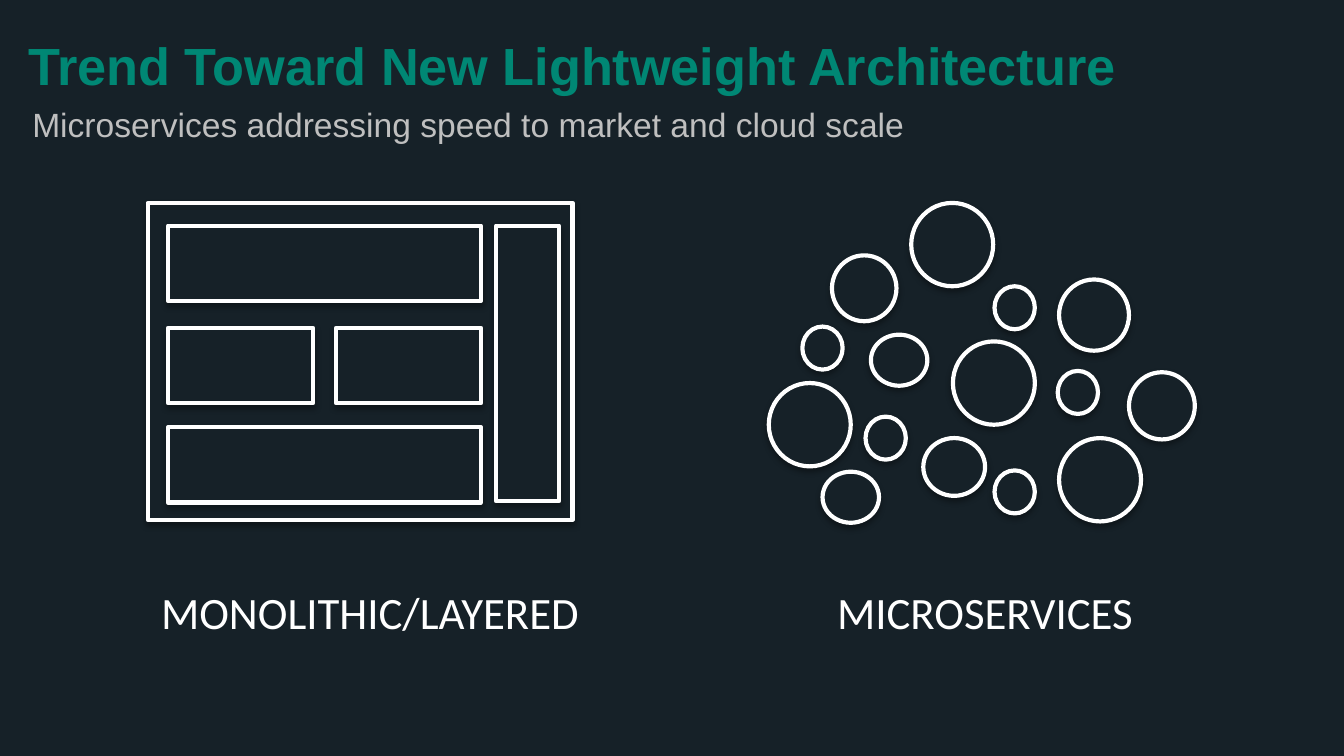
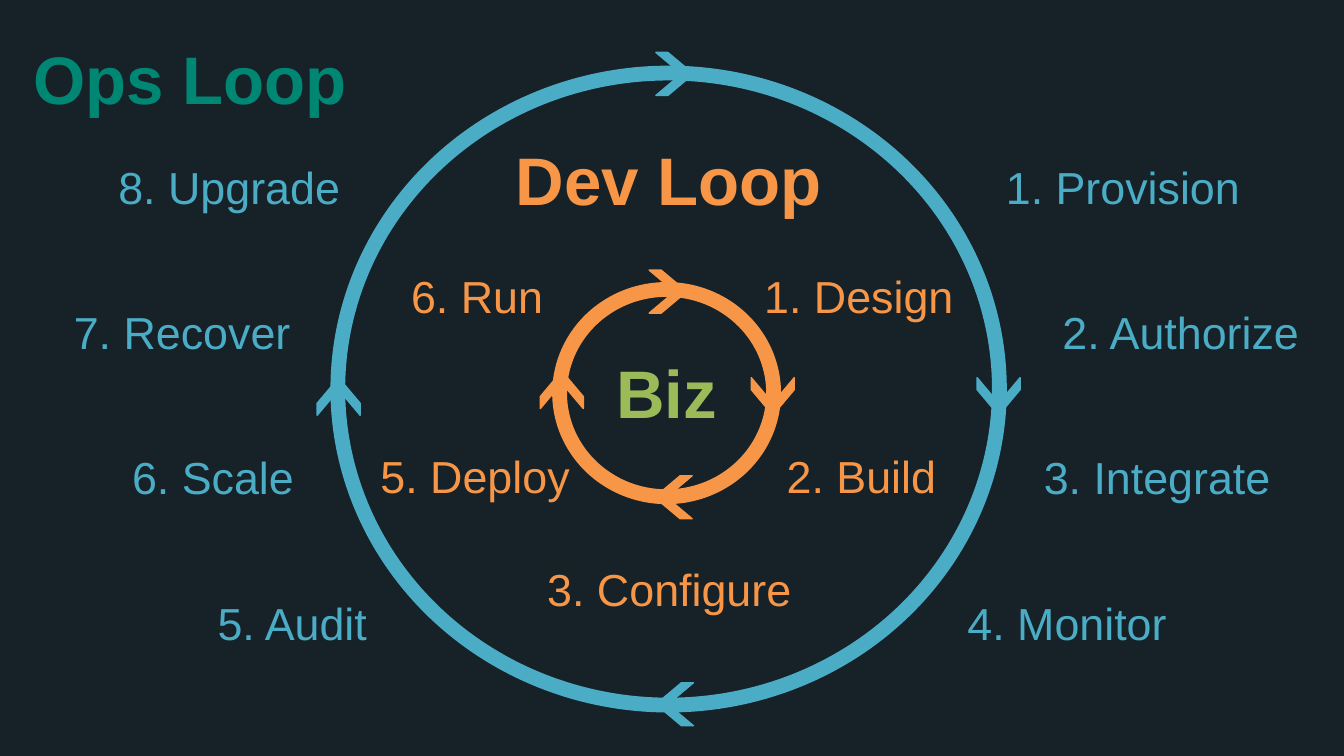
from lxml import etree
from pptx import Presentation
from pptx import util as u
from pptx.dml.color import RGBColor
from pptx.enum import shapes, text
from pptx.oxml.ns import qn

PX = 9144  # EMU per px: 100 px make one inch
SLIDE_WIDTH = 1000 * PX
SLIDE_HEIGHT = SLIDE_WIDTH * 9 // 16

NIGHT = RGBColor(0x16, 0x21, 0x28)
WHITE = RGBColor(0xFF, 0xFF, 0xFF)
GREY = RGBColor(0xBF, 0xBF, 0xBF)
TEAL = RGBColor(0x00, 0x87, 0x74)
ORANGE = RGBColor(0xF7, 0x96, 0x46)
CYAN = RGBColor(0x4B, 0xAC, 0xC6)
BLUE = RGBColor(0x4F, 0x81, 0xBD)
GREEN = RGBColor(0x9B, 0xBB, 0x59)

RECTANGLE = shapes.MSO_SHAPE.RECTANGLE
OVAL = shapes.MSO_SHAPE.OVAL

LAYERS = [  # left, top, width, height, rotation
    (110, 151, 316, 236, 0),
    (125, 168, 233, 56, 0),
    (290, 247, 205, 47, 90),
    (125, 318, 233, 56, 0),
    (250, 244, 108, 56, 0),
    (125, 244, 108, 56, 0),
]
LARGE, SMALL, FLAT = (61, 62), (30, 32), (42, 38)
SERVICES = [  # left, top, size
    (678, 151, LARGE), (619, 190, (48, 49)), (740, 213, SMALL),
    (788, 208, (52, 53)), (648, 249, FLAT), (709, 254, LARGE),
    (840, 277, (49, 50)), (687, 326, (46, 43)), (572, 285, LARGE),
    (612, 351, FLAT), (787, 276, SMALL), (740, 350, SMALL),
    (644, 310, SMALL), (788, 326, LARGE), (597, 243, SMALL),
]

OPS_TOP, OPS_STEP = 107, 108
OPS_RIGHT = [("1. Provision", 726, 219), ("2. Authorize", 778, 201),
             ("3. Integrate", 758, 206), ("4. Monitor", 696, 196)]
OPS_LEFT = [("8. Upgrade", 73, 195), ("7. Recover", 43, 185),
            ("6. Scale", 85, 147), ("5. Audit", 136, 163)]
DEV_STEPS = [("1. Design", 558, 188, 162), ("2. Build", 563, 322, 156),
             ("3. Configure", 393, 406, 210), ("5. Deploy", 271, 322, 165),
             ("6. Run", 290, 188, 130)]
# Left and top of the arrows at the top, right, bottom and left of each ring
OPS_ARROWS = [(488, 39), (729, 279), (488, 508), (238, 279)]
DEV_ARROWS = [(483, 201), (561, 279), (487, 354), (404, 274)]


def add_slide(presentation):
    slide = presentation.slides.add_slide(presentation.slide_layouts[6])
    slide.background.fill.solid()
    slide.background.fill.fore_color.rgb = NIGHT
    return slide


def add_text(parent, words, left, top, width, height, size, color,
             bold=False, font_name="Arial", inset=(10, 5)):
    """Add a one-paragraph text box and return it."""
    box = parent.shapes.add_textbox(left * PX, top * PX, width * PX, height * PX)
    frame = box.text_frame
    frame.word_wrap = True
    frame.margin_left = frame.margin_right = inset[0] * PX
    frame.margin_top = frame.margin_bottom = inset[1] * PX
    paragraph = frame.paragraphs[0]
    paragraph.text = words
    font = paragraph.font
    font.name, font.size, font.bold = font_name, u.Pt(size), bold
    font.color.rgb = color
    return box


def add_heading(slide, words, left, top, width, height, size, color, bold=True):
    add_text(slide, words, left, top, width, height, size, color, bold, inset=(9, 9))


def add_loop_text(slide, words, left, top, width, height, color, size=24, bold=False):
    frame = add_text(slide, words, left, top, width, height, size, color, bold).text_frame
    frame.vertical_anchor = text.MSO_ANCHOR.MIDDLE
    frame.paragraphs[0].alignment = text.PP_ALIGN.CENTER
    frame.paragraphs[0].line_spacing = 1.1


def add_shape(parent, kind, left, top, width, height, fill, line, weight, rotation=0):
    shape = parent.shapes.add_shape(kind, left * PX, top * PX, width * PX, height * PX)
    shape.shadow.inherit = False
    shape.fill.solid()
    shape.fill.fore_color.rgb = fill
    shape.line.color.rgb = line
    shape.line.width = u.Pt(weight)
    shape.rotation = rotation
    return shape


def add_outlined_block(group, kind, left, top, width, height, rotation=0):
    """Add a white outline with a soft shadow below it."""
    shape = add_shape(group, kind, left, top, width, height, NIGHT, WHITE, 2.25, rotation)
    effects = shape._element.spPr.find(qn("a:effectLst"))
    shadow = etree.SubElement(effects, qn("a:outerShdw"), blurRad="40000",
                              dist="23000", dir="5400000", rotWithShape="0")
    color = etree.SubElement(shadow, qn("a:srgbClr"), val="000000")
    etree.SubElement(color, qn("a:alpha"), val="35000")


def add_group_label(group, words, left, width):
    add_text(group, words, left, 430, width, 50, 24, WHITE, font_name="Calibri")


def add_ring(slide, left, top, width, height, thickness, fill, line):
    ring = add_shape(slide, shapes.MSO_SHAPE.DONUT, left, top, width, height,
                     fill, line, 4.5)
    ring.adjustments[0] = thickness


def add_ring_arrows(slide, places, color):
    for quarter, (left, top) in enumerate(places):
        arrow = add_shape(slide, shapes.MSO_SHAPE.CHEVRON, left, top, 28, 32,
                          color, color, 0.75, 90 * quarter)
        arrow.adjustments[0] = 0.68


def build_architecture_slide(presentation):
    slide = add_slide(presentation)
    add_heading(slide, "Microservices addressing speed to market and cloud scale",
                15, 68, 962, 32, 18, GREY, bold=False)

    monolith = slide.shapes.add_group_shape()
    for left, top, width, height, rotation in LAYERS:
        add_outlined_block(monolith, RECTANGLE, left, top, width, height, rotation)
    add_group_label(monolith, "MONOLITHIC/LAYERED", 110, 340)

    microservices = slide.shapes.add_group_shape()
    for left, top, size in SERVICES:
        add_outlined_block(microservices, OVAL, left, top, *size)
    add_group_label(microservices, "MICROSERVICES", 613, 244)

    add_heading(slide, "Trend Toward New Lightweight Architecture",
                12, 16, 962, 52, 28, TEAL)


def build_loops_slide(presentation):
    slide = add_slide(presentation)
    add_ring(slide, 414, 213, 164, 159, 0.03, ORANGE, ORANGE)
    add_ring(slide, 249, 52, 497, 475, 0.01, BLUE, CYAN)

    for words, left, top, width in DEV_STEPS:
        add_loop_text(slide, words, left, top, width, 60, ORANGE)
    for column in (OPS_RIGHT, OPS_LEFT):
        for row, (words, left, width) in enumerate(column):
            add_loop_text(slide, words, left, OPS_TOP + row * OPS_STEP, width, 60, CYAN)

    add_ring_arrows(slide, OPS_ARROWS, CYAN)
    add_ring_arrows(slide, DEV_ARROWS, ORANGE)

    add_loop_text(slide, "Dev Loop", 362, 103, 271, 54, ORANGE, 36, True)
    add_loop_text(slide, "Biz", 448, 253, 96, 71, GREEN, 36, True)
    add_heading(slide, "Ops Loop", 16, 19, 346, 52, 36, TEAL)


def main():
    presentation = Presentation()
    presentation.slide_width = SLIDE_WIDTH
    presentation.slide_height = SLIDE_HEIGHT
    build_architecture_slide(presentation)
    build_loops_slide(presentation)
    presentation.save("out.pptx")


if __name__ == "__main__":
    main()
